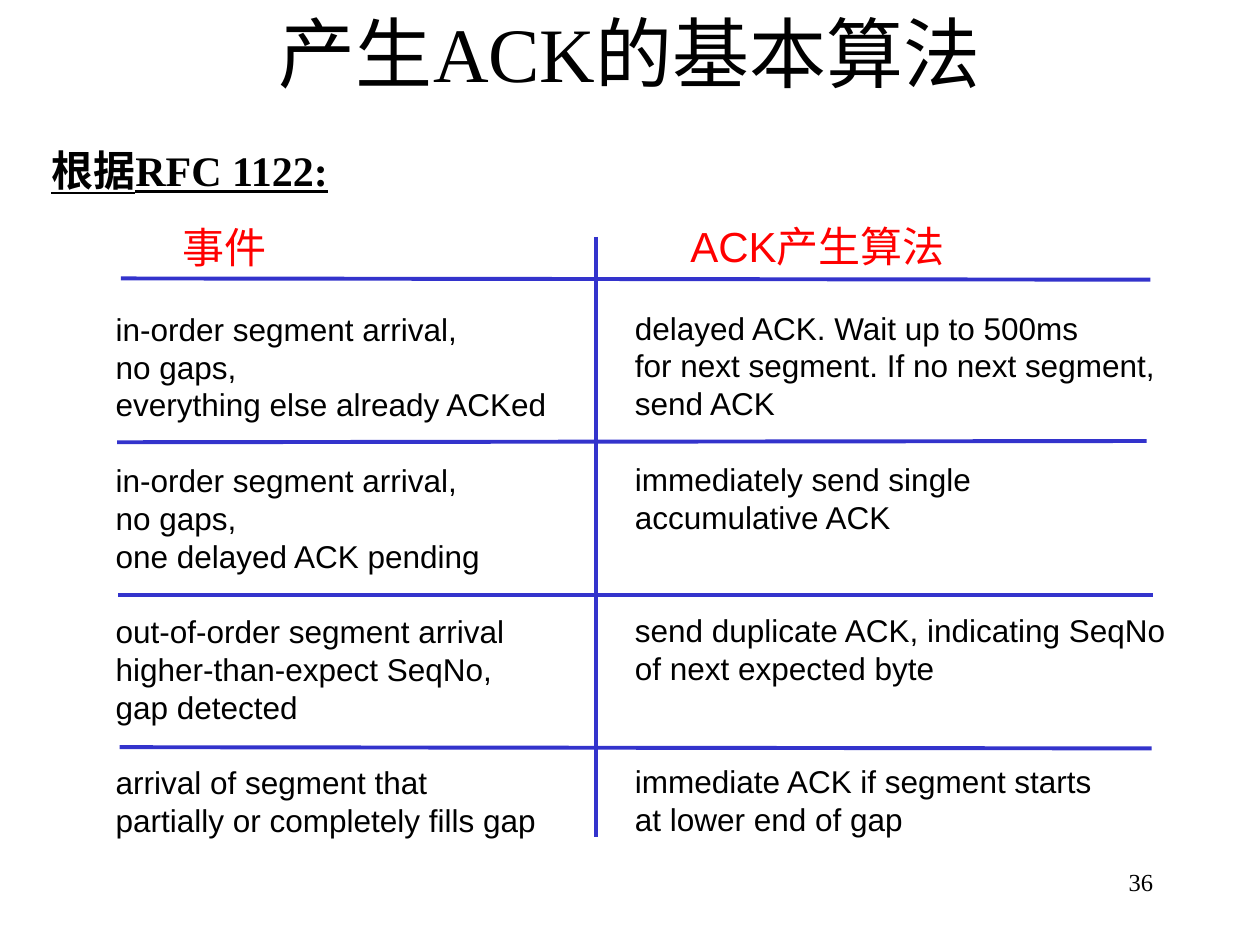
from dataclasses import dataclass
from typing import Any

from lxml import etree
from pptx import Presentation
from pptx.dml.color import RGBColor
from pptx.enum.shapes import MSO_CONNECTOR
from pptx.enum.text import MSO_ANCHOR as Anchor, PP_ALIGN as Align
from pptx.oxml.ns import qn
from pptx.util import Inches, Pt

COLORS = {"text": "000000", "heading": "FF0000", "rule": "3333CC"}
ROW_LINES = 4  # three lines of text and one line of gap

EVENTS = [
    ["in-order segment arrival,", "no gaps,", "everything else already ACKed"],
    ["in-order segment arrival,", "no gaps,", "one delayed ACK pending"],
    ["out-of-order segment arrival", "higher-than-expect SeqNo,", "gap detected"],
    ["arrival of segment that", "partially or completely fills gap"],
]
ACTIONS = [
    ["delayed ACK. Wait up to 500ms", "for next segment. If no next segment,", "send ACK"],
    ["immediately send single", "accumulative ACK"],
    ["send duplicate ACK, indicating SeqNo", "of next expected byte"],
    ["immediate ACK if segment starts", "at lower end of gap"],
]


@dataclass
class SlideWriter:
    page: Any
    serif: str = "Times New Roman"
    sans: str = "Arial"
    body_size: int = 18
    body_pitch: float = 21.6
    rule_width: float = 2.25

    def style(self, para, font, size, color="text", align=Align.LEFT):
        para.alignment = align
        para.font.name = font
        para.font.size = Pt(size)
        para.font.color.rgb = RGBColor.from_string(COLORS[color])

    def title(self, text, left, top, width, height):
        box = self.page.shapes.title
        box.left, box.top = Inches(left), Inches(top)
        box.width, box.height = Inches(width), Inches(height)
        box.text_frame.text = text
        box.text_frame.vertical_anchor = Anchor.MIDDLE
        self.style(box.text_frame.paragraphs[0], self.serif, 44, align=Align.CENTER)

    def frame(self, left, top, width, height, wrap=False):
        box = self.page.shapes.add_textbox(
            Inches(left), Inches(top), Inches(width), Inches(height))
        box.text_frame.word_wrap = wrap
        return box.text_frame

    def label(self, text, place, size, align, wrap=False, inset=True, strong=False):
        frame = self.frame(*place, wrap=wrap)
        if not inset:
            frame.margin_left = frame.margin_right = 0
            frame.margin_top = frame.margin_bottom = 0
        para = frame.paragraphs[0]
        para.text = text
        self.style(para, self.serif, size, align=align)
        if strong:
            para.font.bold = para.font.underline = True

    def column(self, heading, indent, rows, place):
        frame = self.frame(*place)
        para = frame.paragraphs[0]
        para.text = heading
        para._p.get_or_add_pPr().set("marL", str(Inches(indent)))
        self.style(para, self.sans, 24, "heading")
        gap_lines = 1
        for row in rows:
            for index, line in enumerate(row):
                para = frame.add_paragraph()
                para.text = line
                para.line_spacing = Pt(self.body_pitch)
                if index == 0:
                    para.space_before = Pt(gap_lines * self.body_pitch)
                self.style(para, self.sans, self.body_size)
            gap_lines = ROW_LINES - len(row)

    def rule(self, x1, y1, x2, y2):
        line = self.page.shapes.add_connector(
            MSO_CONNECTOR.STRAIGHT, Inches(x1), Inches(y1), Inches(x2), Inches(y2))
        line.line.color.rgb = RGBColor.from_string(COLORS["rule"])
        line.line.width = Pt(self.rule_width)
        etree.SubElement(line._element.spPr, qn("a:effectLst"))


def main():
    deck = Presentation()
    deck.slide_width, deck.slide_height = Inches(10), Inches(7.5)
    writer = SlideWriter(deck.slides.add_slide(deck.slide_layouts[5]))

    # Title
    writer.title("产生ACK的基本算法", 0.75, -0.03, 8.5, 0.88)

    # Events and the matching ACK rules
    writer.column("事件", 0.53, EVENTS, (0.82, 1.71, 3.63, 5.6))
    writer.column("ACK产生算法", 0.44, ACTIONS, (4.94, 1.7, 4.42, 5.6))

    # Row rules and column divider
    for ends in [
        (0.96, 2.21, 9.13, 2.22),
        (0.93, 3.51, 9.1, 3.5),
        (0.94, 4.72, 9.15, 4.72),
        (0.95, 5.93, 9.14, 5.94),
        (4.73, 1.88, 4.73, 6.64),
    ]:
        writer.rule(*ends)

    # Source line and page number
    writer.label("根据RFC 1122:", (0.36, 1.15, 2.29, 0.4), 24, Align.CENTER,
                 inset=False, strong=True)
    writer.label("36", (7.17, 6.83, 2.08, 0.5), 14, Align.RIGHT, wrap=True)

    deck.save("out.pptx")


if __name__ == "__main__":
    main()
